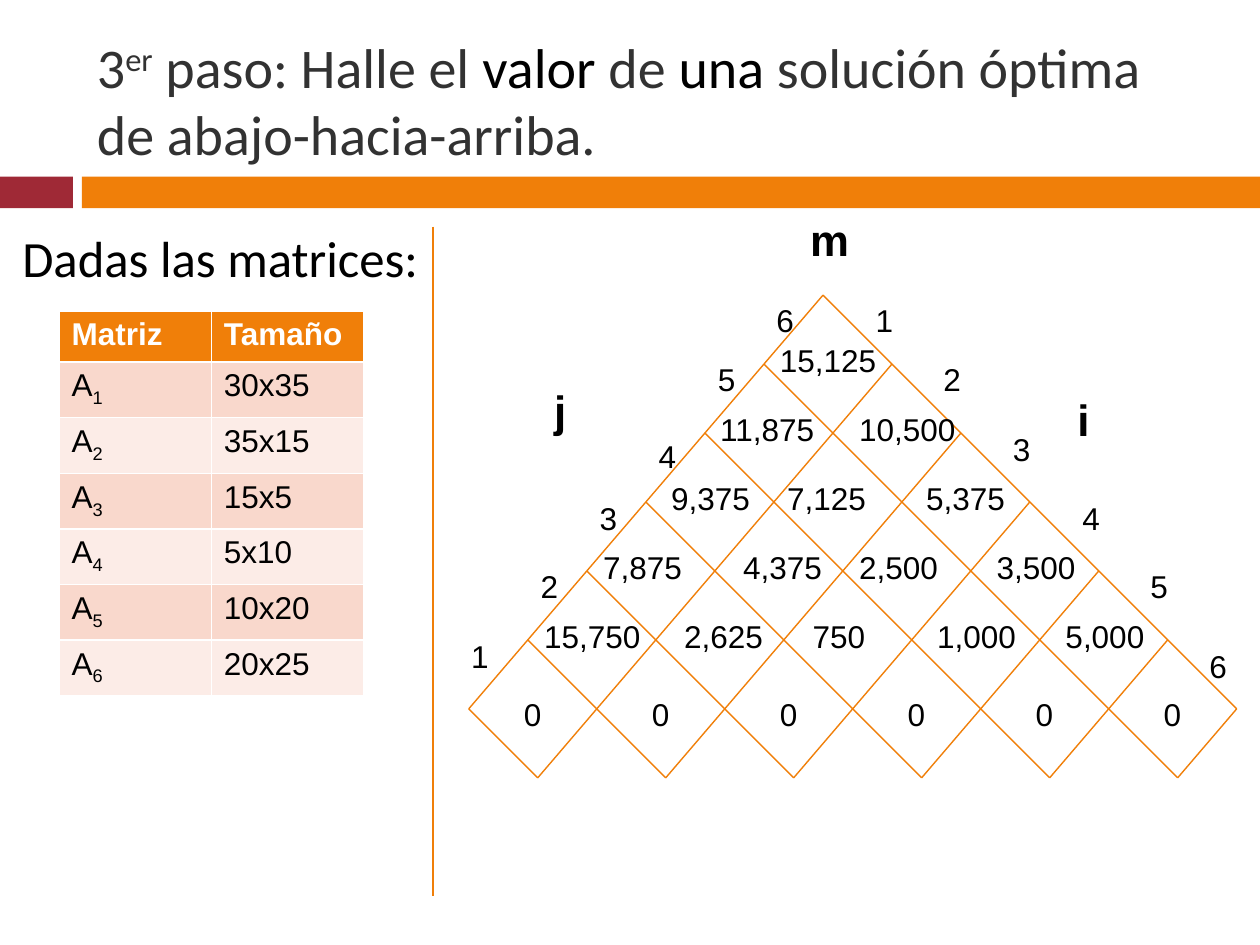
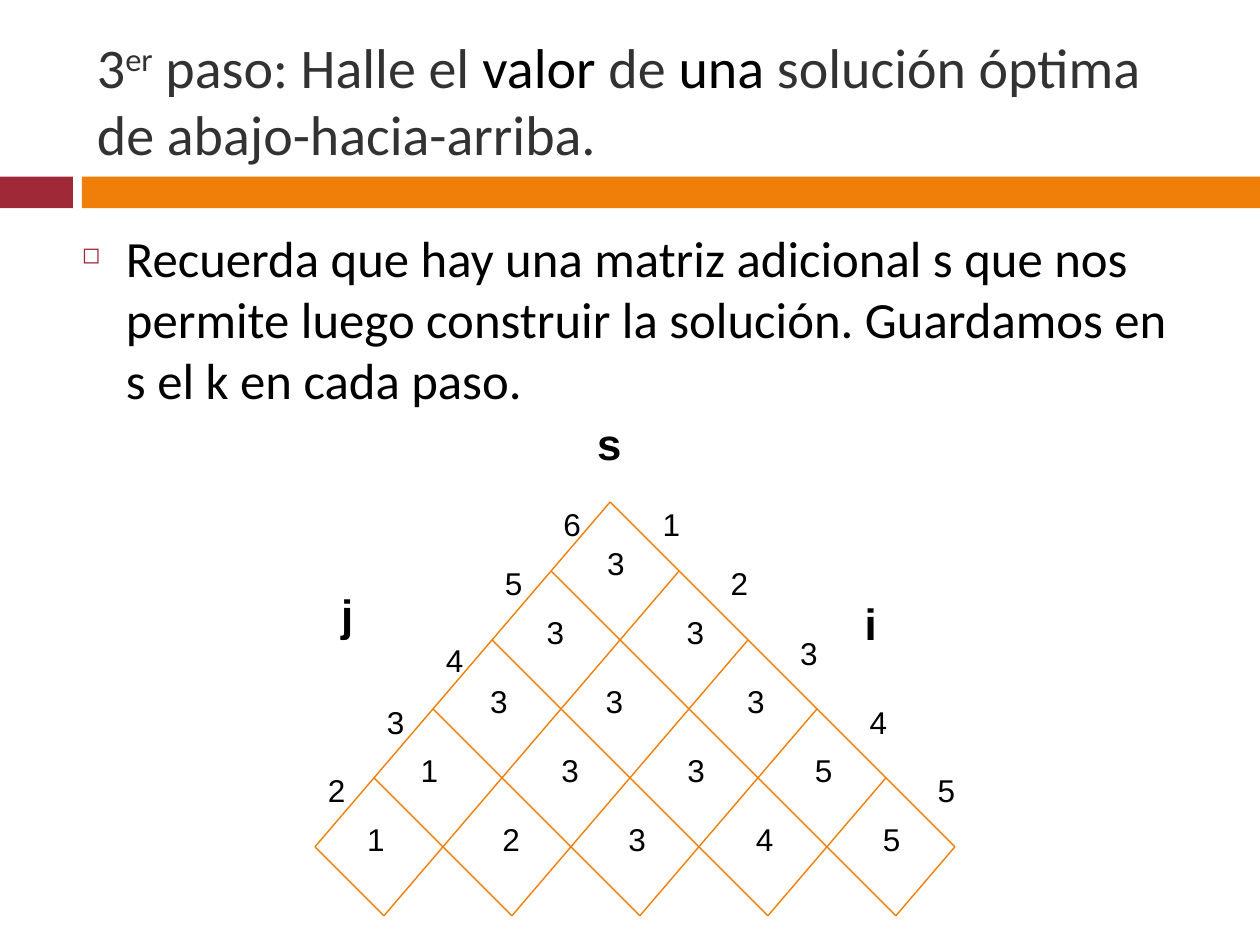
from lxml import etree
from pptx import Presentation
from pptx import util as u
from pptx.dml.color import RGBColor
from pptx.enum import shapes, text
from pptx.oxml.ns import qn

HUES = {"red": "9F2936", "gold": "F07F09", "ink": "000000", "gray": "323232",
        "white": "FFFFFF", "odd": "F9D8CC", "even": "FCECE7"}
HEAD = {"name": "Calibri", "size": u.Pt(32)}
BODY = {"name": "Calibri", "size": u.Pt(29)}
CELL = {"name": "Arial", "size": u.Pt(18)}
AXIS = {"name": "Arial", "size": u.Pt(25), "bold": True}
FRAME = {"word_wrap": True, "auto_size": text.MSO_AUTO_SIZE.NONE}
TIGHT = {"word_wrap": False, "auto_size": text.MSO_AUTO_SIZE.SHAPE_TO_FIT_TEXT}

TITLE = [("3", "gray", 0), ("er", "gray", 30), (" paso: Halle el ", "gray", 0),
         ("valor", "ink", 0), (" de ", "gray", 0), ("una ", "ink", 0),
         ("solución óptima de abajo-hacia-arriba.", "gray", 0)]
BANDS = [(0, 1.47, "red"), (1.65, 23.75, "gold")]
LEFT, RIGHT, DROP = 1.19, 1.39, 1.39
J_TAGS = [(-1.19, 0), (-2.37, 1.19), (-3.56, 2.74), (-4.75, 3.99), (-5.94, 5.36), (-7.34, 6.76)]
I_TAGS = [(0.81, 0), (2.18, 1.19), (3.58, 2.59), (4.98, 3.99), (6.35, 5.36), (7.54, 6.96)]

COSTS = [
    [("15,125", 15.47)],
    [("11,875", 14.27), ("10,500", 17.07)],
    [("9,375", 13.28), ("7,125", 15.62), ("5,375", 18.42)],
    [("7,875", 11.91), ("4,375", 14.73), ("2,500", 17.07), ("3,500", 19.84)],
    [("15,750", 10.72), ("2,625", 13.54), ("750", 16.13), ("1,000", 18.64), ("5,000", 21.23)],
    [("0", 10.31 + 2.58 * k) for k in range(6)],
]
CUTS = [
    [("3", 11.99)],
    [("3", 10.77), ("3", 13.59)],
    [("3", 9.63), ("3", 11.96), ("3", 14.81)],
    [("1", 8.23), ("3", 11.07), ("3", 13.61), ("5", 16.18)],
    [("1", 7.15), ("2", 9.88), ("3", 12.42), ("4", 14.99), ("5", 17.55)],
]
GRIDS = [
    {"name": "m", "wide": 1.3, "x": 16.59, "y": 5.95, "lift": 0, "rows": COSTS,
     "tops": [6.76 + DROP * k for k in range(5)] + [13.89]},
    {"name": "s", "wide": 1.02, "x": 12.3, "y": 10.12, "lift": 0.06, "rows": CUTS,
     "tops": [10.85 + DROP * k for k in range(5)]},
]
NOTES = [
    (0.2, "Dadas las matrices:"),
    (1.4, "Recuerda que hay una matriz adicional s que nos permite luego construir "
          "la solución. Guardamos en s el k en cada paso."),
]
SIZES = ["30x35", "35x15", "15x5", "5x10", "10x20", "20x25"]


def write(frame, runs, style, form):
    for key, val in form.items():
        setattr(frame, key, val)
    para = frame.paragraphs[0]
    para.alignment = text.PP_ALIGN.LEFT
    for words, hue, base in runs:
        run = para.add_run()
        run.text = words
        for key, val in style.items():
            setattr(run.font, key, val)
        run.font.color.rgb = RGBColor.from_string(HUES[hue])
        if base:
            run.font._element.set("baseline", str(base * 1000))
    return para


def draw(slide, ends, thick=0.79):
    line = slide.shapes.add_connector(shapes.MSO_CONNECTOR.STRAIGHT, *[u.Cm(v) for v in ends])
    line.line.color.rgb = RGBColor.from_string(HUES["gold"])
    line.line.width = u.Pt(thick)
    etree.SubElement(line._element.spPr, qn("a:effectLst"))


deck = Presentation()
deck.slide_width, deck.slide_height = u.Cm(25.4), u.Cm(19.05)

for grid, (left, note) in zip(GRIDS, NOTES):
    slide = deck.slides.add_slide(deck.slide_layouts[5])
    for x, wide, hue in BANDS:
        band = slide.shapes.add_shape(shapes.MSO_SHAPE.RECTANGLE,
                                      u.Cm(x), u.Cm(3.56), u.Cm(wide), u.Cm(0.64))
        band.shadow.inherit = False
        band.fill.solid()
        band.fill.fore_color.rgb = RGBColor.from_string(HUES[hue])
        band.line.fill.background()

    title = slide.shapes.title
    place = {"left": 1.7, "top": 0.64, "width": 22.66, "height": 2.74}
    for key, val in place.items():
        setattr(title, key, u.Cm(val))
    write(title.text_frame, TITLE, HEAD,
          {**FRAME, "vertical_anchor": text.MSO_ANCHOR.MIDDLE})

    body = slide.shapes.add_textbox(u.Cm(left), u.Cm(4.45), u.Cm(22.91), u.Cm(13))
    para = write(body.text_frame, [(note, "ink", 0)], BODY, FRAME)
    para.space_before = u.Pt(7)
    if grid["name"] == "s":
        props = para._p.get_or_add_pPr()
        props.set("marL", str(u.Cm(0.89)))
        props.set("indent", str(-u.Cm(0.89)))
        tint = etree.SubElement(props, qn("a:buClr"))
        etree.SubElement(tint, qn("a:srgbClr"), val=HUES["red"])
        etree.SubElement(props, qn("a:buSzPct"), val="45000")
        etree.SubElement(props, qn("a:buChar"), char="◻")

    count, x, y = len(grid["rows"]), grid["x"], grid["y"]
    for k in range(count + 1):
        span = min(count, count + 1 - k)
        high, low = y + DROP * k, y + DROP * (k + span)
        draw(slide, (x - LEFT * k, high, x - LEFT * k + RIGHT * span, low))
        draw(slide, (x + RIGHT * k, high, x + RIGHT * k - LEFT * span, low))

    tags = [(val, at, top) for row, top in zip(grid["rows"], grid["tops"]) for val, at in row]
    base = y - grid["lift"]
    for k in range(count):
        for num, (dx, dy) in ((6 - k, J_TAGS[k]), (k + 1, I_TAGS[k])):
            tags.append((str(num), x + dx, base + dy))
    for val, at, top in tags:
        commas = val.count(",")
        wide = 0.52 + 0.36 * (len(val) - commas) + 0.2 * commas
        box = slide.shapes.add_textbox(u.Cm(at), u.Cm(top), u.Cm(wide), u.Cm(1.02))
        write(box.text_frame, [(val, "ink", 0)], CELL, TIGHT)

    for name, wide, dx, dy in ((grid["name"], grid["wide"], -0.51, -1.78),
                               ("i", 0.76, 4.88, 1.85), ("j", 0.76, -5.67, 1.66)):
        box = slide.shapes.add_textbox(u.Cm(x + dx), u.Cm(base + dy), u.Cm(wide), u.Cm(1.32))
        write(box.text_frame, [(name, "ink", 0)], AXIS, TIGHT)

slide = deck.slides[0]
draw(slide, (8.73, 4.57, 8.73, 18.06), 1)
table = slide.shapes.add_table(7, 2, u.Cm(1.19), u.Cm(6.27), u.Cm(6.14), u.Cm(7.21)).table
rows = [([("Matriz", "white", 0)], [("Tamaño", "white", 0)])]
for k, size in enumerate(SIZES, 1):
    rows.append(([("A", "ink", 0), (str(k), "ink", -25)], [(size, "ink", 0)]))
for r, row in enumerate(rows):
    hue = "gold" if r == 0 else "odd" if r % 2 else "even"
    for c, runs in enumerate(row):
        cell = table.cell(r, c)
        cell.fill.solid()
        cell.fill.fore_color.rgb = RGBColor.from_string(HUES[hue])
        write(cell.text_frame, runs, {**CELL, "bold": r == 0}, {})

deck.save("out.pptx")
